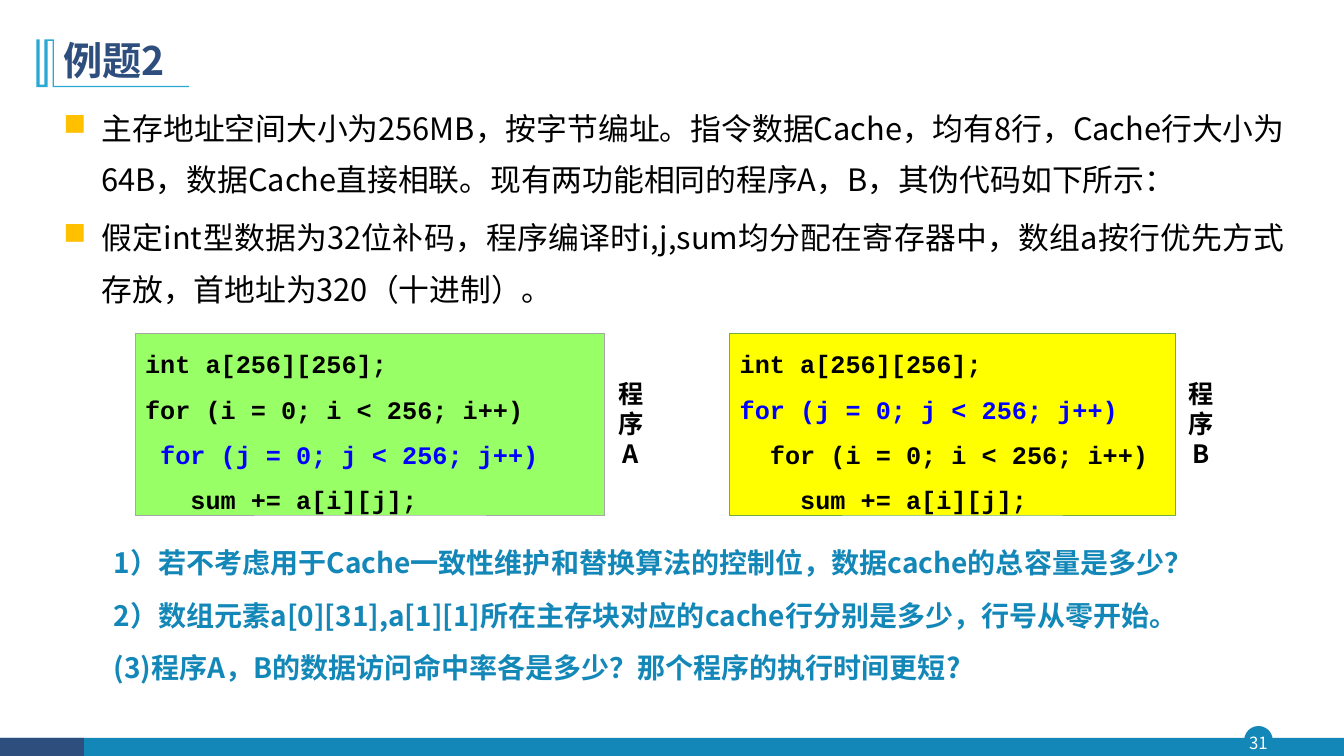
from lxml import etree
from pptx import Presentation
from pptx import util as u
from pptx.dml.color import RGBColor
from pptx.enum import shapes, text
from pptx.oxml import ns

prs = Presentation()
prs.slide_width, prs.slide_height = u.Inches(13.33), u.Inches(7.5)
COL, ROW = prs.slide_width / 160, prs.slide_height / 90

SANS, MONO = "Noto Sans CJK SC", "Courier New"
TEAL = RGBColor(0x13, 0x87, 0xB7)
NAVY = RGBColor(0x2E, 0x4E, 0x7E)
SKY = RGBColor(0x28, 0xA9, 0xD6)
AMBER = RGBColor(0xFF, 0xC0, 0x00)
GREEN = RGBColor(0x99, 0xFF, 0x66)
YELLOW = RGBColor(0xFF, 0xFF, 0x00)
GREY = RGBColor(0xA5, 0xA5, 0xA5)
LEAF = RGBColor(0x70, 0xAD, 0x47)
BLUE = RGBColor(0x00, 0x00, 0xFF)
BLACK = RGBColor(0, 0, 0)
WHITE = RGBColor(0xFF, 0xFF, 0xFF)
LEFT, CENTER, JUSTIFY = (text.PP_ALIGN.LEFT, text.PP_ALIGN.CENTER,
                         text.PP_ALIGN.JUSTIFY)
MIDDLE = text.MSO_ANCHOR.MIDDLE

STEM = [
    "主存地址空间大小为256MB，按字节编址。指令数据Cache，均有8行，Cache行大小为64B，"
    "数据Cache直接相联。现有两功能相同的程序A，B，其伪代码如下所示：",
    "假定int型数据为32位补码，程序编译时i,j,sum均分配在寄存器中，"
    "数组a按行优先方式存放，首地址为320（十进制）。",
]
QUESTIONS = [
    "1）若不考虑用于Cache一致性维护和替换算法的控制位，数据cache的总容量是多少？",
    "2）数组元素a[0][31],a[1][1]所在主存块对应的cache行分别是多少，行号从零开始。",
    "(3)程序A，B的数据访问命中率各是多少？那个程序的执行时间更短?",
]
CODE_A = ["int a[256][256];", "for (i = 0; i < 256; i++)",
          " for (j = 0; j < 256; j++)", "   sum += a[i][j];"]
CODE_B = ["int a[256][256];", "for (j = 0; j < 256; j++)",
          "  for (i = 0; i < 256; i++)", "    sum += a[i][j];"]


def emu(box):
    """Turn a box in grid columns and rows into slide lengths."""
    x, y, w, h = box
    return [round(n) for n in (x * COL, y * ROW, w * COL, h * ROW)]


def add_bullet(p, color):
    """Give a paragraph a square bullet with a hanging indent."""
    pPr = p._p.get_or_add_pPr()
    pPr.set("marL", str(u.Inches(0.38)))
    pPr.set("indent", str(-u.Inches(0.38)))
    clr = etree.SubElement(pPr, ns.qn("a:buClr"))
    etree.SubElement(clr, ns.qn("a:srgbClr")).set("val", str(color))
    etree.SubElement(pPr, ns.qn("a:buChar")).set("char", "■")


def write(tf, lines, size=18, color=BLACK, bold=False, font=SANS, align=LEFT,
          spacing=None, gap=0, bullet=None, marks=None):
    """Fill a text frame with one paragraph per line."""
    for i, line in enumerate(lines):
        p = tf.paragraphs[0] if i == 0 else tf.add_paragraph()
        if bullet is not None:
            add_bullet(p, bullet)
        p.alignment = align
        if spacing:
            p.line_spacing = spacing
        if i and gap:
            p.space_before = u.Pt(gap)
        r = p.add_run()
        r.text = line
        r.font.size, r.font.bold, r.font.name = u.Pt(size), bold, font
        r.font.color.rgb = (marks or {}).get(i, color)
        latin = r._r.rPr.find(ns.qn("a:latin"))
        latin.addnext(latin.makeelement(ns.qn("a:ea"), {"typeface": font}))


def paint(sp, fill, line=None, width=1):
    """Set the fill and outline of a shape and drop its shadow."""
    sp.shadow.inherit = False
    sp.fill.solid()
    sp.fill.fore_color.rgb = fill
    if line is None:
        sp.line.fill.background()
    else:
        sp.line.color.rgb, sp.line.width = line, u.Pt(width)
    return sp


def add_text(s, box, lines, **fmt):
    """Add a wrapping text box."""
    tf = s.shapes.add_textbox(*emu(box)).text_frame
    tf.word_wrap = True
    write(tf, lines, **fmt)
    return tf


def add_footer(s, box, number):
    """Draw the bottom band and the page number on its disc."""
    x, y, w, h = box
    kinds = shapes.MSO_SHAPE
    disc = (x + w - 11.8, y - 1.32, 3.24, 3.24)
    paint(s.shapes.add_shape(kinds.OVAL, *emu(disc)), TEAL, TEAL)
    paint(s.shapes.add_shape(kinds.RECTANGLE, *emu(box)), TEAL)
    paint(s.shapes.add_shape(kinds.RECTANGLE, *emu((x, y, 10, h))), NAVY)
    tf = add_text(s, (disc[0] - 0.3, disc[1], 3.84, 3.72), [number],
                  size=12, color=WHITE, align=CENTER)
    tf.margin_left = tf.margin_right = tf.margin_top = tf.margin_bottom = 0
    tf.vertical_anchor = MIDDLE


def add_heading(s, box, title):
    """Draw the double-bar mark with its underline and place the title."""
    x, y, w, h = box
    outline = [(2.1, 0), (2.1, 5.55), (18.2, 5.55), (18.2, 5.7), (1.95, 5.7),
               (1.95, 0.2), (1.35, 0.2), (1.35, 5.7), (0, 5.7), (0, 0),
               (0.4, 0), (0.4, 5.4), (0.95, 5.4), (0.95, 0)]
    points = [(round((x + a) * COL), round((y + 1.32 + b) * ROW))
              for a, b in outline]
    fb = s.shapes.build_freeform(*points[0])
    fb.add_line_segments(points[1:], close=True)
    paint(fb.convert_to_shape(), SKY)
    sp = s.shapes.title
    sp.left, sp.top, sp.width, sp.height = emu((x + 2.04, y, w - 2.04, h))
    tf = sp.text_frame
    tf.auto_size = text.MSO_AUTO_SIZE.NONE
    tf.vertical_anchor = MIDDLE
    write(tf, [title], size=28, color=NAVY, bold=True, spacing=0.9)


def add_program(s, box, lines, label, fill, line, loop):
    """Draw a code panel with its label down the right side."""
    x, y, w, h = box
    rect = shapes.MSO_SHAPE.RECTANGLE
    sp = paint(s.shapes.add_shape(rect, *emu(box)), fill, line, 0.5)
    tf = sp.text_frame
    tf.word_wrap = False
    tf.vertical_anchor = MIDDLE
    write(tf, lines, bold=True, font=MONO, spacing=1.5, marks={loop: BLUE})
    tf = add_text(s, (x + w, y + 4.68, 6.24, 12.12), [label],
                  bold=True, align=CENTER)
    tf.auto_size = text.MSO_AUTO_SIZE.SHAPE_TO_FIT_TEXT


def add_example(s):
    """Lay out the worked example slide."""
    add_footer(s, (0, 87.84, 160, 2.16), "31")
    add_heading(s, (4.32, 3.36, 140, 8.16), "例题2")
    add_text(s, (6.36, 10.68, 147.72, 28), STEM, size=22, align=JUSTIFY,
             spacing=1.4, gap=4.4, bullet=AMBER)
    add_program(s, (16.08, 39.72, 55.92, 21.6), CODE_A, "程序A",
                GREEN, GREY, 2)
    add_program(s, (86.88, 39.72, 53.04, 21.6), CODE_B, "程序B",
                YELLOW, LEAF, 1)
    add_text(s, (12.36, 62.76, 141.72, 21), QUESTIONS, size=20, color=TEAL,
             bold=True, align=JUSTIFY, spacing=1.4, gap=4)


add_example(prs.slides.add_slide(prs.slide_layouts[5]))
prs.save("out.pptx")
